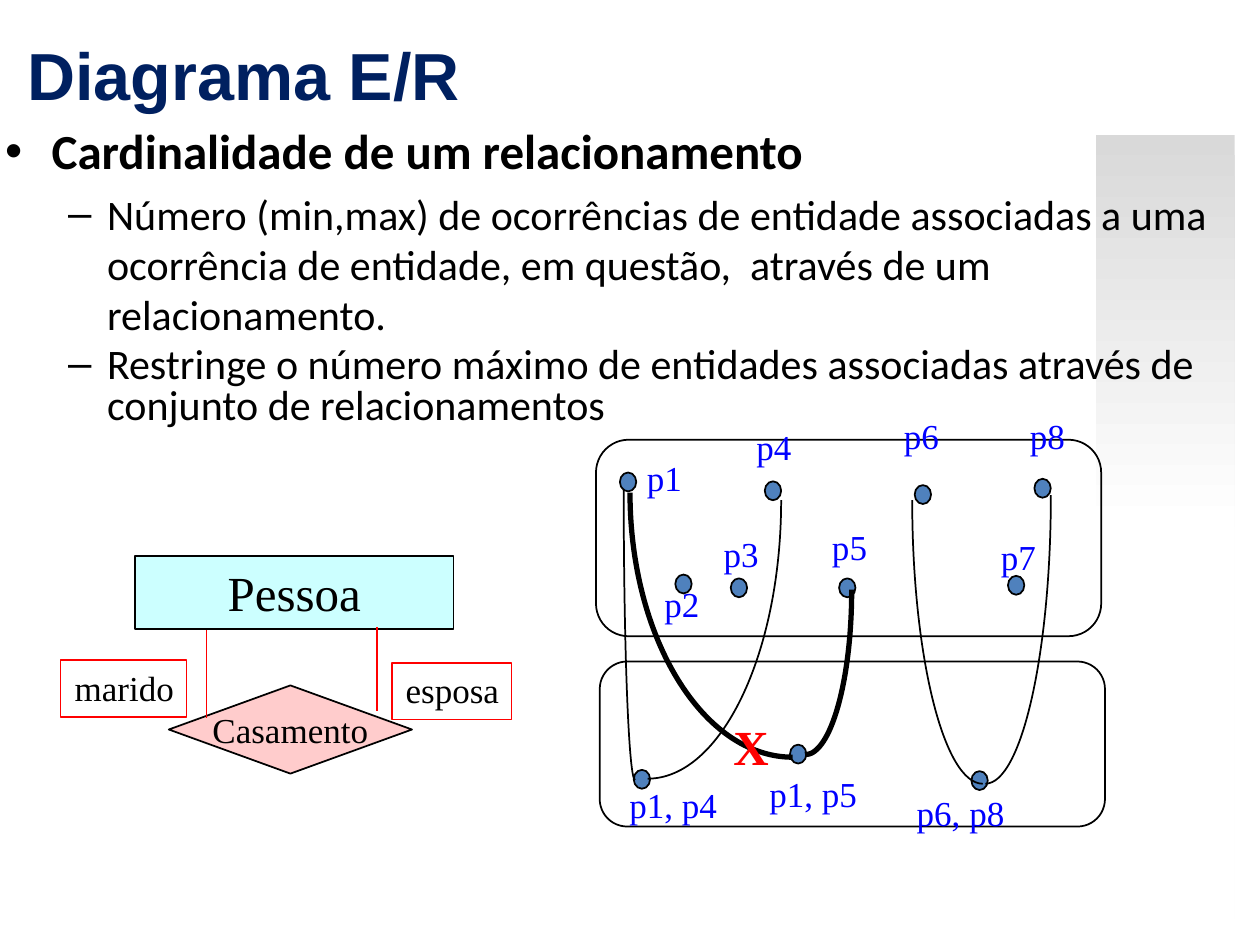
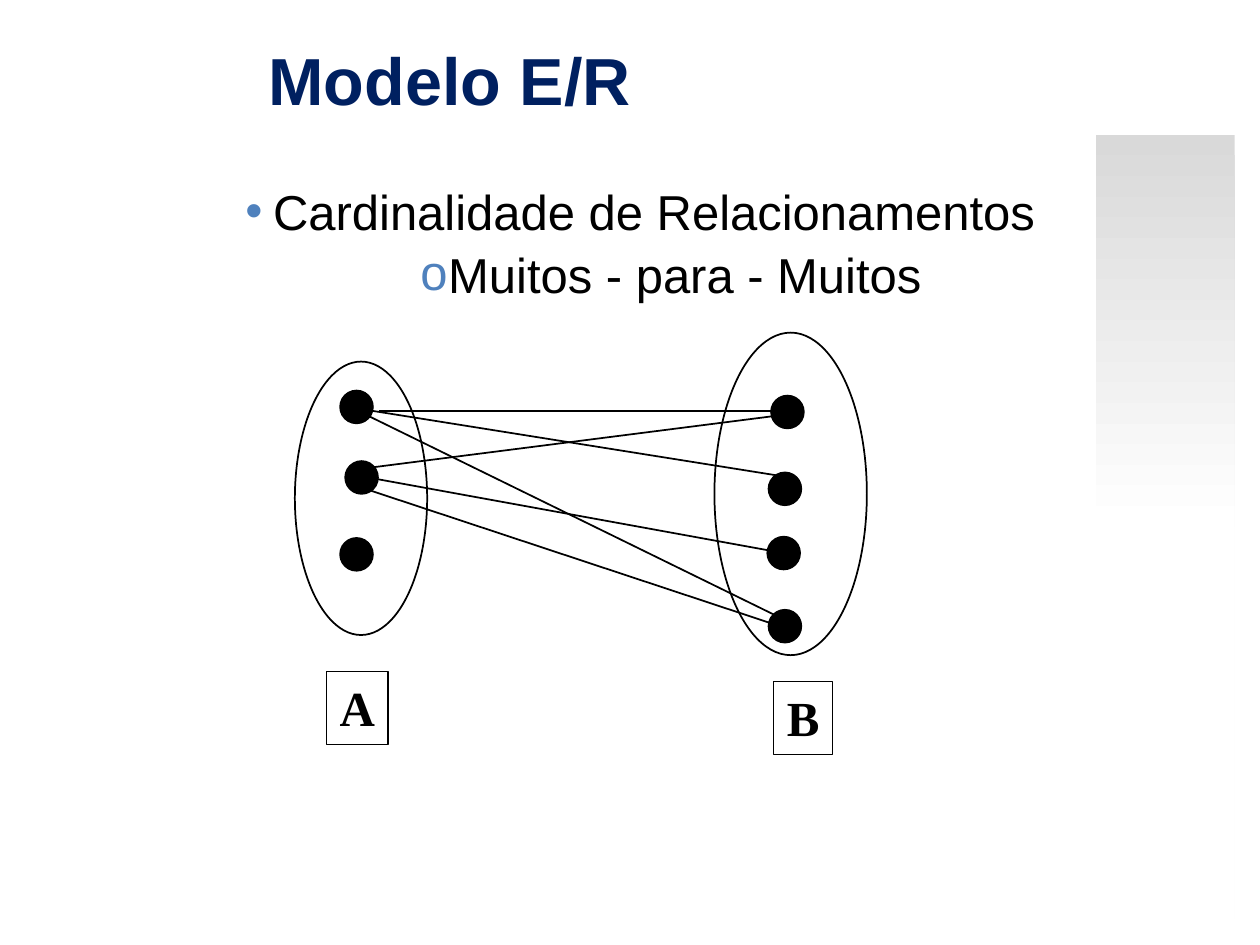
from copy import deepcopy
from dataclasses import dataclass
from typing import NamedTuple, Optional

from lxml import etree
from pptx import Presentation
from pptx import util as u
from pptx.dml import color
from pptx.enum import shapes, text
from pptx.oxml import ns


@dataclass(frozen=True)
class Theme:
    ink: str = "000000"
    paper: str = "FFFFFF"
    title: str = "002060"
    band: str = "D9D9D9"
    accent: str = "4F81BD"
    entity: str = "CCFFFF"
    relation: str = "FFCCCC"
    role: str = "FF0000"
    label: str = "0000FF"
    sans: str = "Arial"
    body: str = "Calibri"
    serif: str = "Times New Roman"
    title_size: float = 38
    large: float = 28
    medium: float = 24
    small: float = 20


THEME = Theme()
QUARTER_ARC = 0.55
ALIGN = text.PP_ALIGN
ANCHOR = text.MSO_ANCHOR
KIND = shapes.MSO_SHAPE


class Box(NamedTuple):
    left: float
    top: float
    width: float
    height: float


class Bullet(NamedTuple):
    mark: str
    margin: float
    hang: float
    level: int = 0
    tint: Optional[str] = None


class Label(NamedTuple):
    words: str
    left: float
    top: float
    width: float = 0.48


class Segment(NamedTuple):
    x1: float
    y1: float
    x2: float
    y2: float


class Arc(NamedTuple):
    bottom_x: float
    bottom_y: float
    top_x: float
    top_y: float
    weight: float = 1


def rgb(value: str) -> color.RGBColor:
    return color.RGBColor.from_string(value)


def set_bullet(paragraph, bullet: Bullet) -> None:
    paragraph.level = bullet.level
    props = paragraph._p.get_or_add_pPr()
    props.set("marL", str(u.Inches(bullet.margin)))
    props.set("indent", str(-u.Inches(bullet.hang)))
    if bullet.tint:
        tint = etree.SubElement(props, ns.qn("a:buClr"))
        etree.SubElement(tint, ns.qn("a:srgbClr"), val=bullet.tint)
    etree.SubElement(props, ns.qn("a:buFont"), typeface=THEME.sans)
    etree.SubElement(props, ns.qn("a:buChar"), char=bullet.mark)


def write(frame, words: str, *, size: float, font: str = THEME.serif,
          tint: str = THEME.ink, bold: bool = False, align=ALIGN.LEFT,
          bullet: Optional[Bullet] = None, before: float = 0,
          spacing: Optional[float] = None) -> None:
    first = not frame.text
    paragraph = frame.paragraphs[0] if first else frame.add_paragraph()
    if bullet:
        set_bullet(paragraph, bullet)
    paragraph.alignment = align
    if before and not first:
        paragraph.space_before = u.Pt(before)
    if spacing:
        paragraph.line_spacing = spacing
    run = paragraph.add_run()
    run.text = words
    run.font.size = u.Pt(size)
    run.font.name = font
    run.font.bold = bold
    run.font.color.rgb = rgb(tint)


def text_box(slide, box: Box, *, wrap: bool = True, anchor=ANCHOR.TOP,
             inset: Optional[float] = None):
    frame = slide.shapes.add_textbox(*map(u.Inches, box)).text_frame
    frame.word_wrap = wrap
    frame.vertical_anchor = anchor
    if not wrap:
        frame.auto_size = text.MSO_AUTO_SIZE.SHAPE_TO_FIT_TEXT
    if inset is not None:
        frame.margin_left = frame.margin_right = u.Inches(inset)
        frame.margin_top = frame.margin_bottom = u.Inches(inset)
    return frame


def outline(shape, fill: Optional[str], line: str, weight: float) -> None:
    shape.shadow.inherit = False
    if fill:
        shape.fill.solid()
        shape.fill.fore_color.rgb = rgb(fill)
    else:
        shape.fill.background()
    shape.line.color.rgb = rgb(line)
    shape.line.width = u.Pt(weight)


def draw_shape(slide, kind, box: Box, *, fill: Optional[str] = None,
               line: str = THEME.ink, weight: float = 1):
    shape = slide.shapes.add_shape(kind, *map(u.Inches, box))
    outline(shape, fill, line, weight)
    return shape


def draw_captioned(slide, kind, box: Box, words: str, *, size: float,
                   fill: Optional[str] = None, line: str = THEME.ink,
                   weight: float = 1, bold: bool = False, align=ALIGN.CENTER,
                   grow: bool = False) -> None:
    frame = draw_shape(slide, kind, box, fill=fill, line=line, weight=weight).text_frame
    frame.word_wrap = False
    frame.vertical_anchor = ANCHOR.TOP if grow else ANCHOR.MIDDLE
    if grow:
        frame.auto_size = text.MSO_AUTO_SIZE.SHAPE_TO_FIT_TEXT
    write(frame, words, size=size, bold=bold, align=align)


def draw_label(slide, label: Label, *, height: float = 0.43, size: float = THEME.small,
               tint: str = THEME.label, bold: bool = False) -> None:
    frame = text_box(slide, Box(label.left, label.top, label.width, height), wrap=False)
    write(frame, label.words, size=size, tint=tint, bold=bold, align=ALIGN.RIGHT)


def draw_segment(slide, segment: Segment, tint: str = THEME.ink) -> None:
    connector = slide.shapes.add_connector(
        shapes.MSO_CONNECTOR.STRAIGHT, *map(u.Inches, segment))
    connector.line.color.rgb = rgb(tint)
    connector.line.width = u.Pt(1)
    etree.SubElement(connector._element.spPr, ns.qn("a:effectLst"))


def draw_arc(slide, arc: Arc) -> None:
    builder = slide.shapes.build_freeform(u.Inches(arc.bottom_x), u.Inches(arc.bottom_y))
    builder.add_line_segments([(u.Inches(arc.top_x), u.Inches(arc.top_y))], close=False)
    curve = builder.convert_to_shape()
    outline(curve, None, THEME.ink, arc.weight)
    bottom, top = [(int(point.get("x")), int(point.get("y")))
                   for point in curve._element.spPr.iter(ns.qn("a:pt"))]
    controls = [(bottom[0] + round(QUARTER_ARC * (top[0] - bottom[0])), bottom[1]),
                (top[0], top[1] + round(QUARTER_ARC * (bottom[1] - top[1])))]
    chord = curve._element.spPr.find(".//" + ns.qn("a:lnTo"))
    bezier = etree.Element(ns.qn("a:cubicBezTo"))
    for x, y in controls + [top]:
        etree.SubElement(bezier, ns.qn("a:pt"), x=str(x), y=str(y))
    chord.getparent().replace(chord, bezier)


def draw_band(slide) -> None:
    band = draw_shape(slide, KIND.RECTANGLE, Box(8.7, 1.07, 1.1, 6.22))
    band.line.fill.background()
    band.fill.gradient()
    band.fill.gradient_angle = 270
    start, middle = band.fill.gradient_stops
    start.color.rgb, start.position = rgb(THEME.band), 0
    middle.color.rgb, middle.position = rgb(THEME.paper), 0.5
    stops = band._element.spPr.find(".//" + ns.qn("a:gsLst"))
    end = deepcopy(stops[-1])
    end.set("pos", "100000")
    stops.append(end)


def start_slide(deck):
    slide = deck.slides.add_slide(deck.slide_layouts[6])
    draw_band(slide)
    return slide


def draw_title(slide, words: str, box: Box, align) -> None:
    write(text_box(slide, box, anchor=ANCHOR.MIDDLE), words, size=THEME.title_size,
          font=THEME.sans, tint=THEME.title, bold=True, align=align)


def build_marriage(deck) -> None:
    slide = start_slide(deck)
    body = text_box(slide, Box(0, 0.92, 9.75, 2.67), inset=0.04)
    write(body, "Cardinalidade de um relacionamento", size=THEME.large,
          font=THEME.body, bold=True, bullet=Bullet("•", 0.37, 0.37))
    dash = Bullet("–", 0.81, 0.31, level=1)
    write(body, "Número (min,max) de ocorrências de entidade associadas a uma "
          "ocorrência de entidade, em questão,  através de um relacionamento.",
          size=THEME.medium, font=THEME.body, bullet=dash, before=4.8)
    write(body, "Restringe o número máximo de entidades associadas através de "
          "conjunto de relacionamentos",
          size=THEME.medium, font=THEME.body, bullet=dash, before=4.8, spacing=0.8)

    draw_captioned(slide, KIND.RECTANGLE, Box(1.07, 4.41, 2.53, 0.58), "Pessoa",
                   size=THEME.large, fill=THEME.entity)
    draw_captioned(slide, KIND.DIAMOND, Box(1.34, 5.44, 1.93, 0.7), "Casamento",
                   size=THEME.small, fill=THEME.relation)
    for link in (Segment(2.99, 5.64, 2.99, 4.98), Segment(1.64, 5, 1.64, 5.7)):
        draw_segment(slide, link, THEME.role)
    for role in (Label("marido", 0.48, 5.24, 1), Label("esposa", 3.11, 5.26, 0.95)):
        draw_captioned(slide, KIND.RECTANGLE, Box(role.left, role.top, role.width, 0.45),
                       role.words, size=THEME.small, line=THEME.role,
                       align=ALIGN.RIGHT, grow=True)

    for entity_set in (Box(4.73, 3.49, 4.01, 1.56), Box(4.76, 5.25, 4.01, 1.31)):
        draw_shape(slide, KIND.ROUNDED_RECTANGLE, entity_set)
    people = [(4.92, 3.75), (5.36, 4.56), (5.8, 4.59), (6.07, 3.82),
              (6.66, 4.59), (7.26, 3.85), (8, 4.57), (8.21, 3.8)]
    couples = [(5.03, 6.11), (6.27, 5.91), (7.71, 6.12)]
    for left, top in people + couples:
        draw_shape(slide, KIND.OVAL, Box(left, top, 0.13, 0.15), fill=THEME.accent)
    for arc in (Arc(5.14, 6.18, 6.2, 3.97), Arc(5.04, 6.19, 4.95, 3.88),
                Arc(7.8, 6.22, 7.24, 3.97), Arc(7.82, 6.22, 8.34, 3.93),
                Arc(6.29, 6.01, 5, 3.91, 3), Arc(6.39, 5.99, 6.76, 4.68, 3)):
        draw_arc(slide, arc)
    for label in (Label("p1", 5.03, 3.57), Label("p2", 5.17, 4.57),
                  Label("p3", 5.64, 4.18), Label("p4", 5.9, 3.33),
                  Label("p5", 6.5, 4.12), Label("p6", 7.07, 3.24),
                  Label("p7", 7.84, 4.2), Label("p8", 8.07, 3.24),
                  Label("p1, p4", 4.89, 6.17, 0.9), Label("p6, p8", 7.17, 6.23, 0.9),
                  Label("p1, p5", 6, 6.08, 0.9)):
        draw_label(slide, label)
    draw_label(slide, Label("X", 5.71, 5.64, 0.49), height=0.57, size=THEME.large,
               tint=THEME.role, bold=True)
    draw_title(slide, "Diagrama E/R", Box(-4.75, 0.13, 8.5, 0.92), ALIGN.RIGHT)


def build_many_to_many(deck) -> None:
    slide = start_slide(deck)
    body = text_box(slide, Box(0.75, 1.39, 8.5, 4.5))
    for words, bullet in (
            ("Cardinalidade de Relacionamentos", Bullet("•", 0.38, 0.22, 0, THEME.accent)),
            ("Muitos - para - Muitos", Bullet("o", 0.87, 0.22, 1, THEME.accent))):
        write(body, words, size=THEME.large, font=THEME.sans, align=ALIGN.CENTER,
              bullet=bullet, before=2.5)

    for entity_set in (Box(2.34, 2.87, 1.05, 2.17), Box(5.67, 2.64, 1.21, 2.56)):
        draw_shape(slide, KIND.OVAL, entity_set)
    for name in (Label("A", 2.59, 5.33, 0.49), Label("B", 6.14, 5.41, 0.47)):
        draw_captioned(slide, KIND.RECTANGLE, Box(name.left, name.top, name.width, 0.58),
                       name.words, size=THEME.large, weight=0.75, bold=True, grow=True)
    members_a = [(2.7, 3.1), (2.74, 3.66), (2.7, 4.27)]
    members_b = [(6.12, 3.14), (6.1, 3.75), (6.09, 4.26), (6.1, 4.84)]
    for left, top in members_a + members_b:
        draw_shape(slide, KIND.OVAL, Box(left, top, 0.26, 0.26), fill=THEME.ink)
    for pair in (Segment(3.01, 3.26, 6.21, 3.26), Segment(2.98, 3.8, 6.11, 4.37),
                 Segment(2.95, 3.26, 6.21, 3.78), Segment(2.82, 3.25, 6.29, 4.95),
                 Segment(6.24, 3.29, 2.95, 3.71), Segment(6.13, 4.95, 2.9, 3.88)):
        draw_segment(slide, pair)
    draw_title(slide, "Modelo E/R", Box(-0.68, 0, 8.5, 1.25), ALIGN.CENTER)


def main() -> None:
    deck = Presentation()
    deck.slide_width, deck.slide_height = u.Inches(10), u.Inches(7.5)
    build_marriage(deck)
    build_many_to_many(deck)
    deck.save("out.pptx")


if __name__ == "__main__":
    main()
